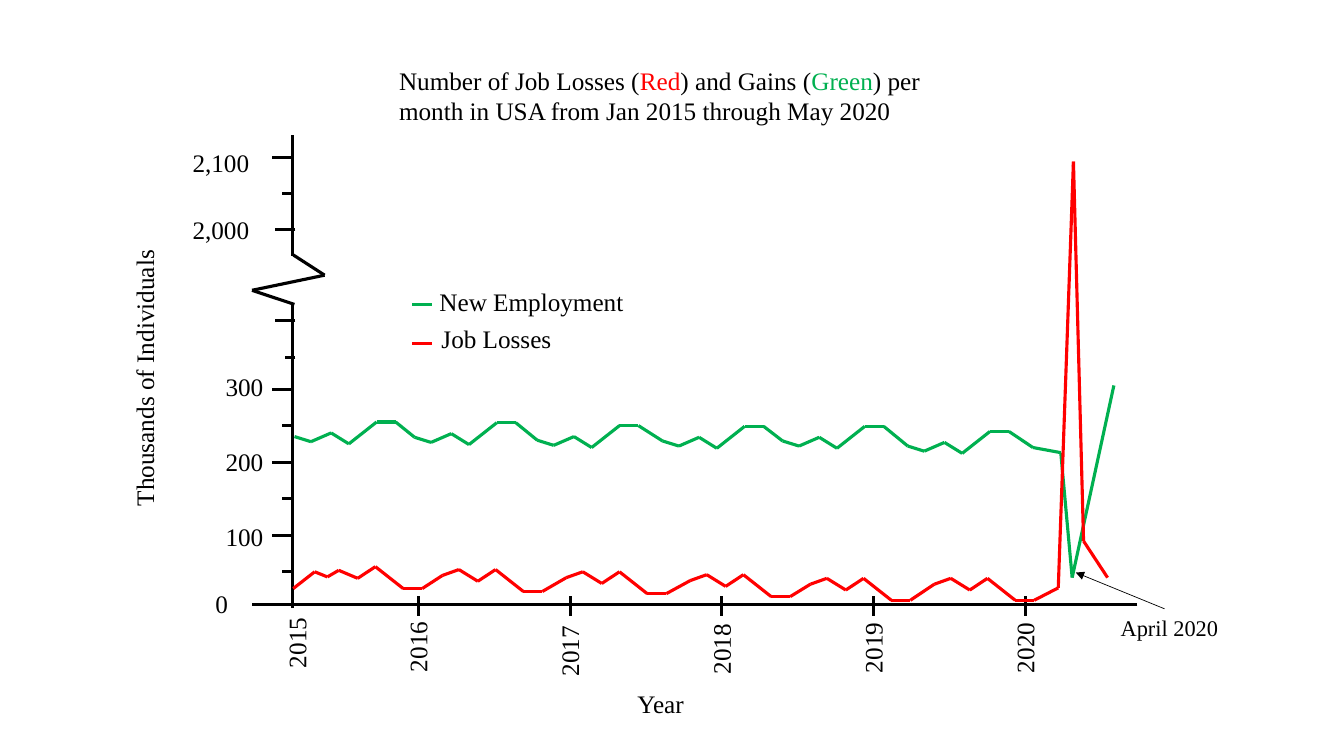
"""Build a line graph of US job losses and gains on a broken value axis."""
import itertools

import pptx
import pptx.dml.color
import pptx.enum.shapes
import pptx.enum.text
import pptx.oxml
import pptx.oxml.ns
import pptx.util

Inches = pptx.util.Inches
BLACK, RED, GREEN = "000000", "FF0000", "00B050"
FONT = "Times New Roman"

TITLE = [("Number of Job Losses (", BLACK), ("Red", RED), (") and Gains (", BLACK),
         ("Green", GREEN), (") per month in USA from Jan 2015 through May 2020", BLACK)]
LEGEND = [("New Employment", GREEN, 3.02, 4.26, 2.79), ("Job Losses", RED, 3.41, 4.28, 3.16)]

# Each point is (months after January 2016, thousands of individuals).
GAIN_CYCLE = [(-4.3, 10), (-3, 3), (-1.4, 15), (0, 0), (2.2, 30), (3.7, 30)]
GAIN_LOWS = [(-5.5, 225), (4, 224), (13.7, 220), (23.6, 219), (33.1, 219), (43, 212)]
GAIN_END = [(48.6, 220), (50.8, 213), (51.7, 42), (55, 305)]

LOSS_START = [(-9.9, 27), (-8.2, 50), (-7.2, 43), (-6.3, 52)]
LOSS_CYCLE = [(-4.2, -8), (-2.9, 0), (-1.4, -16), (0, 0), (2.2, -30), (3.7, -30)]
LOSS_PEAKS = [(-3.4, 57), (6.1, 53), (15.9, 50), (25.7, 46), (35.2, 41), (45, 41)]
LOSS_END = [(50.6, 28), (51.8, 2094), (52.6, 92), (54.5, 42)]

AXIS_X, AXIS_Y = 2.9, 6
JAN_2016_X, YEAR_WIDTH = 4.15, 1.505
ZERO_Y, LOWER_SCALE = 6.035, 0.00725
TOP_VALUE, TOP_VALUE_Y, UPPER_SCALE = 2100, 1.56, 0.0072
BREAK_VALUE = 1000
AXIS_BREAK = [(2.91, 2.53), (3.22, 2.73), (2.5, 2.88), (2.92, 3.02)]

MAJOR, MINOR = 0.2, 0.1
VALUE_TICKS = [(50, MINOR), (100, MAJOR), (150, MINOR), (200, MAJOR), (250, MINOR),
               (300, MAJOR), (2050, MINOR), (2100, MAJOR)]
CROSSING_TICKS = [(3.55, MINOR), (3.18, MAJOR), (2.28, MAJOR)]
CROSSING_X = AXIS_X + 0.03
VALUE_LABELS = [("0", 2.36, 5.79), ("100", 2.71, 5.12), ("200", 2.71, 4.38),
                ("300", 2.71, 3.63), ("2,000", 2.57, 2.08), ("2,100", 2.57, 1.41)]
VALUE_LABEL_WIDTH = 0.92
FIRST_YEAR, FIRST_YEAR_X = 2015, 2.94
YEAR_LABEL_TOPS = [6.22, 6.26, 6.3, 6.28, 6.27, 6.27]
YEAR_LABEL_WIDTH = 0.78

prs = pptx.Presentation()
prs.slide_width, prs.slide_height = Inches(13.33), Inches(7.5)
slide = prs.slides.add_slide(prs.slide_layouts[6])


def rgb(color):
    return pptx.dml.color.RGBColor.from_string(color)


def month_x(month):
    return JAN_2016_X + month * YEAR_WIDTH / 12


def value_y(value):
    if value > BREAK_VALUE:
        return TOP_VALUE_Y + (TOP_VALUE - value) * UPPER_SCALE
    return ZERO_Y - value * LOWER_SCALE


def repeat_cycle(cycle, anchors):
    return [(month + shift, value + change)
            for month, value in anchors for shift, change in cycle]


def add_line(start, end, color=BLACK, width=2.25, arrow=False):
    points = [Inches(v) for v in (*start, *end)]
    sp = slide.shapes.add_connector(pptx.enum.shapes.MSO_CONNECTOR.STRAIGHT, *points)
    sp.line.color.rgb = rgb(color)
    sp.line.width = pptx.util.Pt(width)
    ns = pptx.oxml.ns.nsdecls("a")
    if arrow:
        tail = pptx.oxml.parse_xml(f'<a:tailEnd {ns} type="triangle"/>')
        sp.line._get_or_add_ln().append(tail)
    sp._element.spPr.append(pptx.oxml.parse_xml(f"<a:effectLst {ns}/>"))


def add_path(points, color=BLACK):
    for start, end in itertools.pairwise(points):
        add_line(start, end, color)


def add_series(data, color):
    add_path([(month_x(month), value_y(value)) for month, value in data], color)


def add_text(runs, left, top, width, height=0.4, right=False, rotation=0, size=18):
    sp = slide.shapes.add_textbox(*(Inches(v) for v in (left, top, width, height)))
    sp.rotation = rotation
    tf = sp.text_frame
    tf.word_wrap = True
    tf.auto_size = pptx.enum.text.MSO_AUTO_SIZE.SHAPE_TO_FIT_TEXT
    p = tf.paragraphs[0]
    if right:
        p.alignment = pptx.enum.text.PP_ALIGN.RIGHT
    for text, color in runs:
        r = p.add_run()
        r.text = text
        r.font.name = FONT
        r.font.size = pptx.util.Pt(size)
        r.font.color.rgb = rgb(color)


def add_label(text, *box, **options):
    add_text([(text, BLACK)], *box, **options)


add_line((AXIS_X, 3.03), (AXIS_X, 6.03))
add_line((AXIS_X, 1.34), (AXIS_X, 2.54))
add_line((11.28, AXIS_Y), (2.5, AXIS_Y))
add_path(AXIS_BREAK)

value_ticks = [(AXIS_X, value_y(value), length) for value, length in VALUE_TICKS]
crossing_ticks = [(CROSSING_X, y, length) for y, length in CROSSING_TICKS]
for x, y, length in value_ticks + crossing_ticks:
    add_line((x, y), (x - length, y))
for text, right_edge, top in VALUE_LABELS:
    add_label(text, right_edge - VALUE_LABEL_WIDTH, top, VALUE_LABEL_WIDTH, right=True)

year_xs = [month_x(12 * i) for i in range(len(YEAR_LABEL_TOPS) - 1)]
for x in year_xs:
    add_line((x, AXIS_Y + 0.11), (x, AXIS_Y - 0.09))
label_xs = [FIRST_YEAR_X] + [x - 0.01 for x in year_xs]
for i, (x, top) in enumerate(zip(label_xs, YEAR_LABEL_TOPS)):
    add_label(str(FIRST_YEAR + i), x - YEAR_LABEL_WIDTH / 2, top, YEAR_LABEL_WIDTH,
              right=True, rotation=270)

add_series(repeat_cycle(GAIN_CYCLE, GAIN_LOWS) + GAIN_END, GREEN)
first_losses = repeat_cycle(LOSS_CYCLE[2:], LOSS_PEAKS[:1])
later_losses = repeat_cycle(LOSS_CYCLE, LOSS_PEAKS[1:])
add_series(LOSS_START + first_losses + later_losses + LOSS_END, RED)

add_text(TITLE, 3.86, 0.6, 6.03, 0.71)
add_label("Year", 6.1, 6.78, 0.78, right=True)
add_label("Thousands of Individuals", -0.07, 3.42, 3, rotation=270)
add_label("April 2020", 10.92, 6.04, 1.26, 0.37, right=True, size=16)
add_line((11.55, 6.04), (10.67, 5.68), width=0.5, arrow=True)

for text, color, key_y, left, top in LEGEND:
    add_line((4.28, key_y), (4.09, key_y), color)
    add_label(text, left, top, 2.32)

prs.save("out.pptx")
